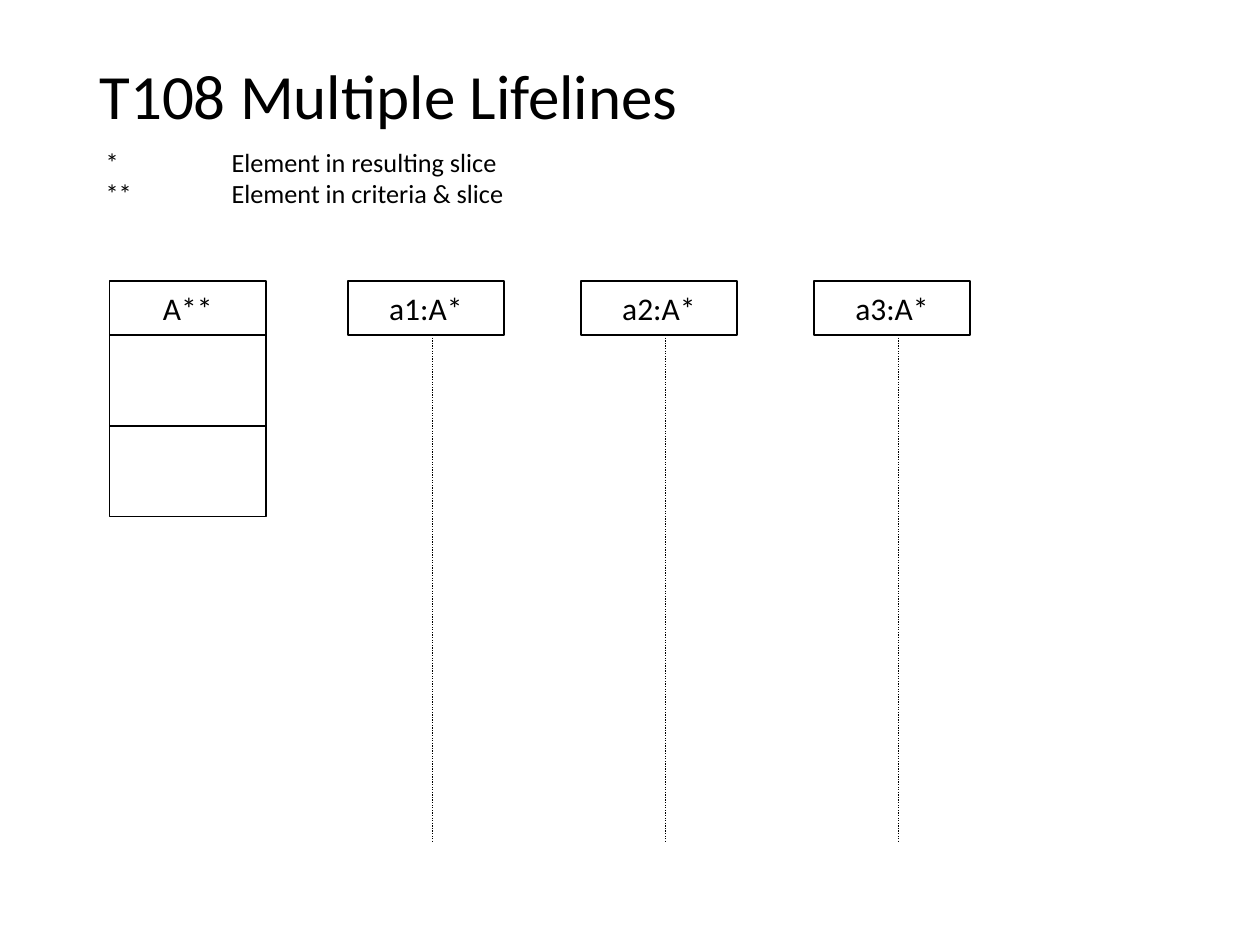
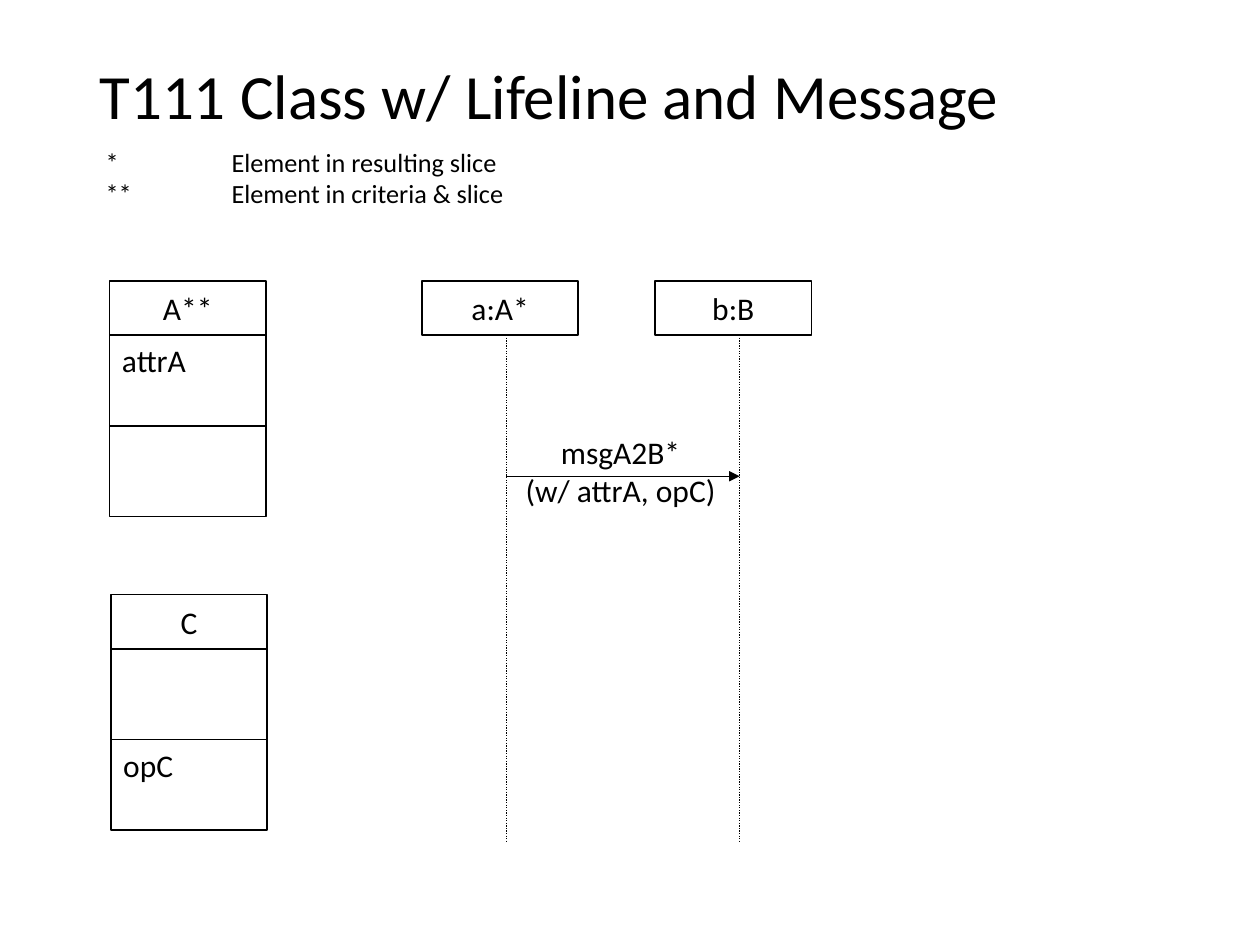
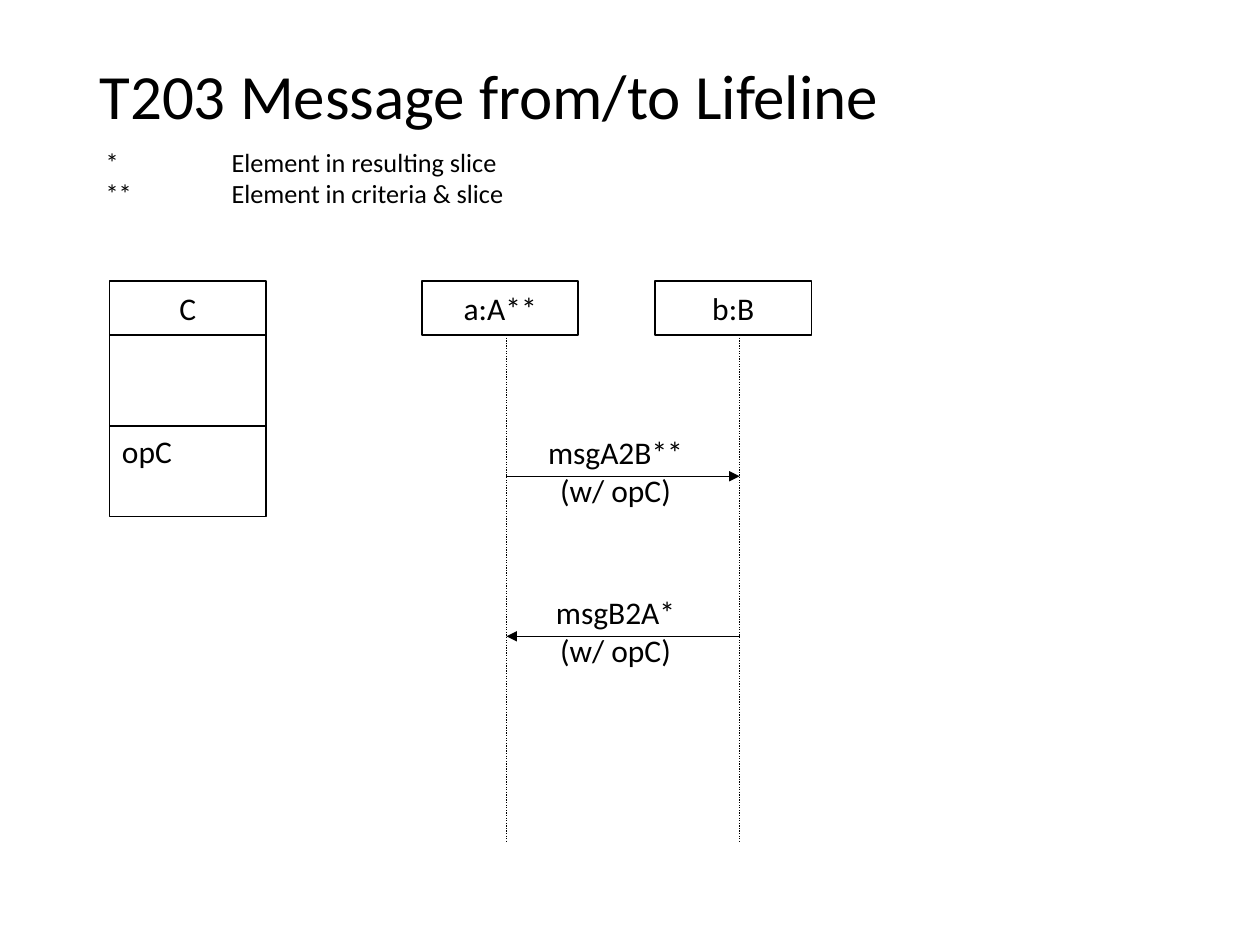
from lxml import etree
from pptx import Presentation, util as u
from pptx.dml.color import RGBColor
from pptx.enum import dml, shapes, text
from pptx.oxml import ns

HUES = {"ink": "000000", "paper": "FFFFFF"}
FACE = "Calibri"
SIZES = {"title": 36, "key": 15, "label": 18}

# Grid, in inches
LEFT, TOP = 0.87, 2.23       # first class box
WIDE, HEAD, PART = 1.24, 0.43, 0.72
STEP = 1.85                  # from one lifeline to the next
STEM, FOOT = 0.67, 6.69      # lifeline offset in its box, and its end
NEAR, FAR = 2.76, 3.35       # first lifeline box with three or two lifelines

KEY = ["*\tElement in resulting slice", "**\tElement in criteria & slice"]
MID, SIDE = text.PP_ALIGN.CENTER, text.PP_ALIGN.LEFT


def hue(name):
    return RGBColor.from_string(HUES[name])


def inch(*nums):
    return [u.Inches(n) for n in nums]


def sub(node, tag, **attrs):
    return etree.SubElement(node, ns.qn(tag), attrs)


def place(item, *spot):
    for name, size in zip(("left", "top", "width", "height"), inch(*spot)):
        setattr(item, name, size)


def write(frame, lines, kind, align=SIDE, **form):
    """Fill a text frame, one paragraph a line."""
    form = {"word_wrap": True, "auto_size": text.MSO_AUTO_SIZE.NONE, **form}
    for name, value in form.items():
        setattr(frame, name, value)
    frame.text = "\n".join(lines)
    for para in frame.paragraphs:
        para.alignment = align
        font = para.runs[0].font
        for name, value in {"name": FACE, "size": u.Pt(SIZES[kind])}.items():
            setattr(font, name, value)
        font.color.rgb = hue("ink")


def box(page, x, y, high, label="", align=MID, anchor=text.MSO_ANCHOR.MIDDLE):
    rect = page.shapes.add_shape(shapes.MSO_SHAPE.RECTANGLE,
                                 *inch(x, y, WIDE, high))
    rect.shadow.inherit = False
    rect.fill.solid()
    rect.fill.fore_color.rgb = hue("paper")
    rect.line.color.rgb = hue("ink")
    rect.line.width = u.Pt(0.94)
    if label:
        write(rect.text_frame, [label], "label", align, vertical_anchor=anchor)


def line(page, start, end):
    link = page.shapes.add_connector(shapes.MSO_CONNECTOR.STRAIGHT,
                                     *inch(*start, *end))
    link.line.color.rgb = hue("ink")
    link.line.width = u.Pt(0.75)
    sub(link.element.spPr, "a:effectLst")
    return link.line


def klass(page, name, attr="", op="", x=LEFT, y=TOP):
    """Class box: name, attributes, operations."""
    box(page, x, y, HEAD, name)
    for row, label in enumerate((attr, op)):
        box(page, x, y + HEAD + row * PART, PART, label, SIDE,
            text.MSO_ANCHOR.TOP)


def lives(page, first, names):
    """Row of lifelines; gives the x of each stem."""
    stems = []
    for col, name in enumerate(names):
        x = first + col * STEP
        box(page, x, TOP, HEAD, name)
        stem = line(page, (x + STEM, TOP + HEAD), (x + STEM, FOOT))
        stem.dash_style = dml.MSO_LINE.ROUND_DOT
        stems.append(x + STEM)
    return stems


def send(page, start, end, y, lines, x=4.29):
    """Message arrow with its label around it."""
    arrow = line(page, (start, y), (end, y))
    sub(arrow._get_or_add_ln(), "a:tailEnd", type="triangle")
    note = page.shapes.add_textbox(*inch(x, y - 0.39, 1.19, 0.7))
    write(note.text_frame, lines, "label", MID, word_wrap=False)


def legend(deck, lay):
    """Put the key on the layout, where every slide shows it."""
    page = deck.slides[0]
    note = page.shapes.add_textbox(*inch(0.74, 1.11, 4.14, 0.62))
    write(note.text_frame, KEY, "key")
    for para in note.text_frame.paragraphs:
        tabs = sub(para._p.get_or_add_pPr(), "a:tabLst")
        sub(tabs, "a:tab", pos=str(u.Inches(1)), algn="l")
    lay.shapes.element.append(note.element)


def start(deck, lay, title):
    page = deck.slides.add_slide(lay)
    write(page.shapes.title.text_frame, [title], "title",
          vertical_anchor=text.MSO_ANCHOR.MIDDLE)
    page.shapes.title.text_frame.paragraphs[0].line_spacing = 0.9
    return page


def main():
    deck = Presentation()
    deck.slide_width, deck.slide_height = inch(10, 7.5)
    lay = deck.slide_layouts[5]
    place(lay.placeholders[0], 0.69, 0.4, 8.63, 0.78)

    # Multiple lifelines
    page = start(deck, lay, "T108 Multiple Lifelines")
    legend(deck, lay)
    lives(page, NEAR, ["a1:A*", "a2:A*", "a3:A*"])
    klass(page, "A**")

    # Class with lifeline and message
    page = start(deck, lay, "T111 Class w/ Lifeline and Message")
    a, b = lives(page, FAR, ["a:A*", "b:B"])
    send(page, a, b, 3.78, ["msgA2B*", "(w/ attrA, opC)"], 4.33)
    klass(page, "A**", attr="attrA")
    klass(page, "C", op="opC", x=0.88, y=4.72)

    # Messages both ways
    page = start(deck, lay, "T203 Message from/to Lifeline")
    a, b = lives(page, FAR, ["a:A**", "b:B"])
    send(page, a, b, 3.78, ["msgA2B**", "(w/ opC)"])
    send(page, b, a, 5.05, ["msgB2A*", "(w/ opC)"])
    klass(page, "C", op="opC")

    deck.save("out.pptx")


if __name__ == "__main__":
    main()
